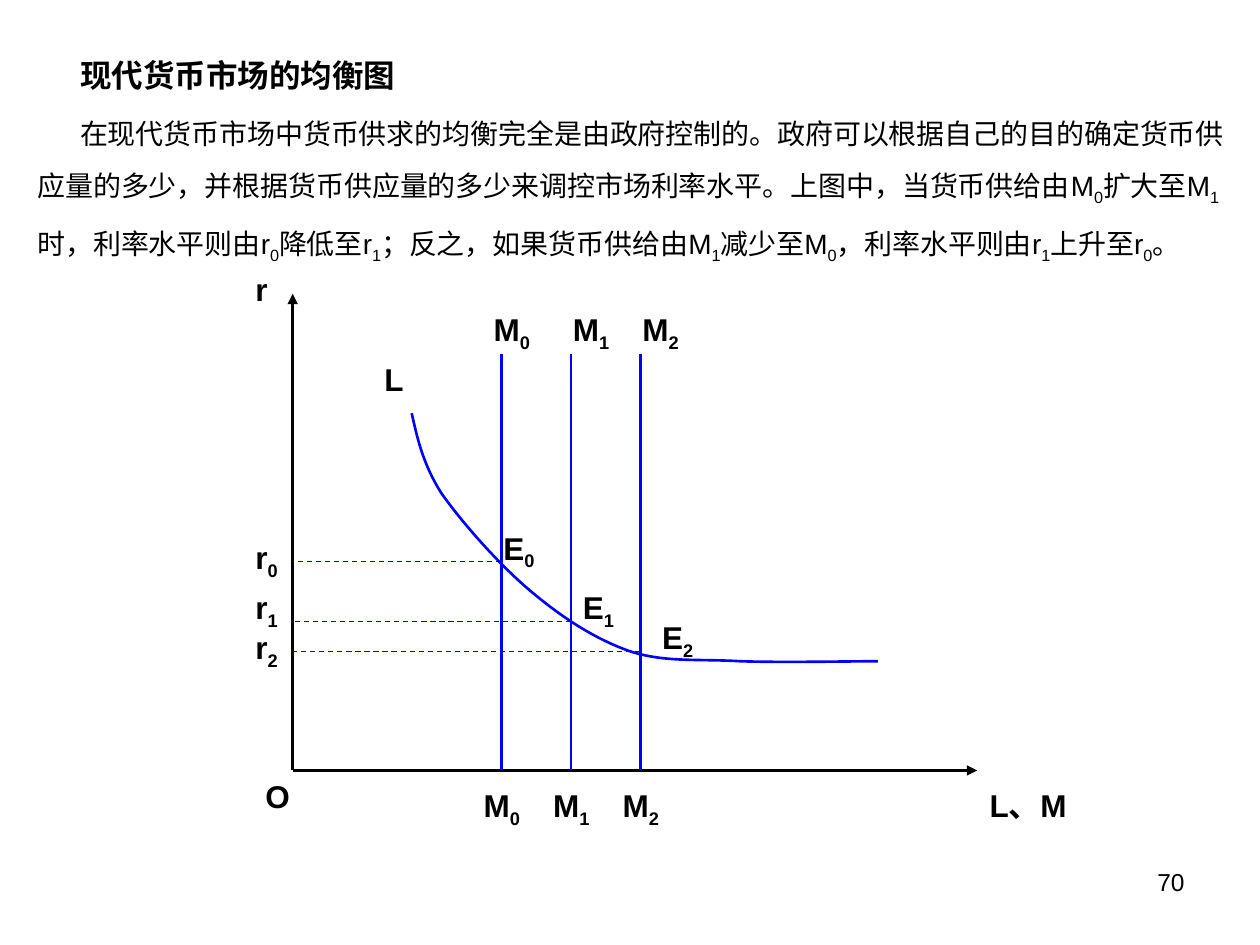
from pptx import Presentation
from pptx.dml.color import RGBColor
from pptx.enum.dml import MSO_LINE
from pptx.enum.shapes import MSO_CONNECTOR
from pptx.enum.text import MSO_ANCHOR, MSO_AUTO_SIZE, PP_ALIGN
from pptx.oxml.ns import qn
from pptx.util import Cm, Pt
from lxml import etree

DASH = MSO_LINE.DASH
STRAIGHT = MSO_CONNECTOR.STRAIGHT
MIDDLE = MSO_ANCHOR.MIDDLE
NO_FIT = MSO_AUTO_SIZE.NONE
LEFT, RIGHT = PP_ALIGN.LEFT, PP_ALIGN.RIGHT

BLACK, BLUE = "000000", "0000FF"
HEADING = "现代货币市场的均衡图"
BODY = (
    "在现代货币市场中货币供求的均衡完全是由政府控制的。政府可以根据自己的目的确定货币供应量的多少，"
    "并根据货币供应量的多少来调控市场利率水平。上图中，当货币供给由M_0扩大至M_1时，"
    "利率水平则由r_0降低至r_1；反之，如果货币供给由M_1减少至M_0，利率水平则由r_1上升至r_0。"
)
CURVE = [
    (3.4, 3.0), (3.51, 3.48), (3.61, 3.99), (3.99, 4.6),
    (4.4, 5.19), (5.16, 6.05), (5.79, 6.58),
    (6.43, 7.12), (7.09, 7.55), (7.8, 7.8),
    (8.51, 8.03), (9.17, 7.95), (10.01, 8.0),
    (10.82, 8.03), (12.37, 8.0), (12.8, 8.0),
]


def rgb(value):
    """Turn a hex string into a colour."""
    return RGBColor.from_string(value)


def write(p, text, size, bold=False, align=LEFT):
    """Fill a paragraph, setting the character after each underscore as a subscript."""
    first, *rest = text.split("_")
    p.add_run().text = first
    for part in rest:
        r = p.add_run()
        r.text = part[0]
        r.font._element.set("baseline", "-25000")
        if part[1:]:
            p.add_run().text = part[1:]
    p.alignment = align
    p.font.size, p.font.bold, p.font.name = Pt(size), bold, "Arial"
    p.font.color.rgb = rgb(BLACK)


def add_label(slide, x, y, text, w=1.4, h=1.12, size=18, bold=True, align=LEFT):
    """Add a one-line text box."""
    tf = slide.shapes.add_textbox(Cm(x), Cm(y), Cm(w), Cm(h)).text_frame
    tf.word_wrap = True
    write(tf.paragraphs[0], text, size, bold, align)


def add_line(slide, start, end, color, width, dash=None, arrow=False):
    """Add a straight line, optionally dashed or with an arrowhead at its end."""
    s = slide.shapes.add_connector(STRAIGHT, *map(Cm, start + end))
    s.line.color.rgb, s.line.width = rgb(color), Pt(width)
    if dash:
        s.line.dash_style = dash
    if arrow:
        etree.SubElement(s.line._get_or_add_ln(), qn("a:tailEnd"), type="triangle")
    etree.SubElement(s._element.spPr, qn("a:effectLst"))


def add_curve(slide, points):
    """Add an open curve through a start point and triples of Bezier points."""
    start, *others = [(Cm(x), Cm(y)) for x, y in points]
    builder = slide.shapes.build_freeform(*start)
    builder.add_line_segments(others, close=False)
    s = builder.convert_to_shape()
    segments = s._element.xpath(".//a:lnTo")
    for i in range(0, len(segments), 3):
        bezier = etree.Element(qn("a:cubicBezTo"))
        segments[i].addprevious(bezier)
        for segment in segments[i:i + 3]:
            bezier.append(segment[0])
            segment.getparent().remove(segment)
    s.shadow.inherit = False
    s.fill.background()
    s.line.color.rgb, s.line.width = rgb(BLUE), Pt(1.5)


def add_heading(slide, x, y, w, h):
    """Place the heading and its explanation in the title placeholder."""
    s = slide.shapes.title
    s.left, s.top, s.width, s.height = Cm(x), Cm(y), Cm(w), Cm(h)
    tf = s.text_frame
    tf.word_wrap, tf.auto_size, tf.vertical_anchor = True, NO_FIT, MIDDLE
    tf.margin_bottom = Cm(0.85)
    for p, text, size, bold, before in (
        (tf.paragraphs[0], HEADING, 18, True, 0),
        (tf.add_paragraph(), BODY, 16, False, 3),
    ):
        p._p.get_or_add_pPr().set("indent", str(Cm(0.86)))
        p.line_spacing = 1.5
        p.space_before = Pt(before)
        write(p, text, size, bold)


def add_diagram(slide, x, y):
    """Draw the money market diagram with its top left corner at x, y."""
    def at(dx, dy):
        return x + dx, y + dy

    axis, base = 1.0, 10.2
    origin = at(axis, base)
    add_line(slide, origin, at(axis, 0.59), BLACK, 1.75, arrow=True)
    add_line(slide, origin, at(14.8, base), BLACK, 1.75, arrow=True)

    rates = [(5.99, 5.39), (7.2, 6.4), (7.8, 7.2)]
    tops = [4.8, 6.4, 7.8]
    equilibria = [(5.0, 5.2), (6.6, 6.4), (8.2, 7.0)]
    for i, (rate, rate_label) in enumerate(rates):
        supply = 5.21 + 1.4 * i
        add_line(slide, at(supply, base), at(supply, 1.8), BLUE, 1.5)
        add_line(slide, at(supply, rate), at(axis, rate), BLUE, 0.75, DASH)
        add_label(slide, *at(0, rate_label), f"r_{i}")
        add_label(slide, *at(supply - 0.61, 10.39), f"M_{i}")
        add_label(slide, *at(tops[i], 0.79), f"M_{i}")
        add_label(slide, *at(*equilibria[i]), f"E_{i}")
    add_curve(slide, [at(*point) for point in CURVE])

    add_label(slide, *at(0.2, base), "O", h=1.02)
    add_label(slide, *at(14.8, 10.39), "L、M", w=2.41, h=1.02)
    add_label(slide, *at(0, -0.01), "r", h=1.02)
    add_label(slide, *at(2.6, 1.81), "L", h=1.02)


def main():
    """Build the slide and save it."""
    prs = Presentation()
    prs.slide_width, prs.slide_height = Cm(25.4), Cm(19.05)
    slide = prs.slides.add_slide(prs.slide_layouts[5])
    add_heading(slide, 0.5, 1.32, 24.62, 4.17)
    add_diagram(slide, 4.9, 5.33)
    add_label(slide, 18.2, 17.36, "70", w=5.93, h=1.32, size=14, bold=False, align=RIGHT)
    prs.save("out.pptx")


if __name__ == "__main__":
    main()
